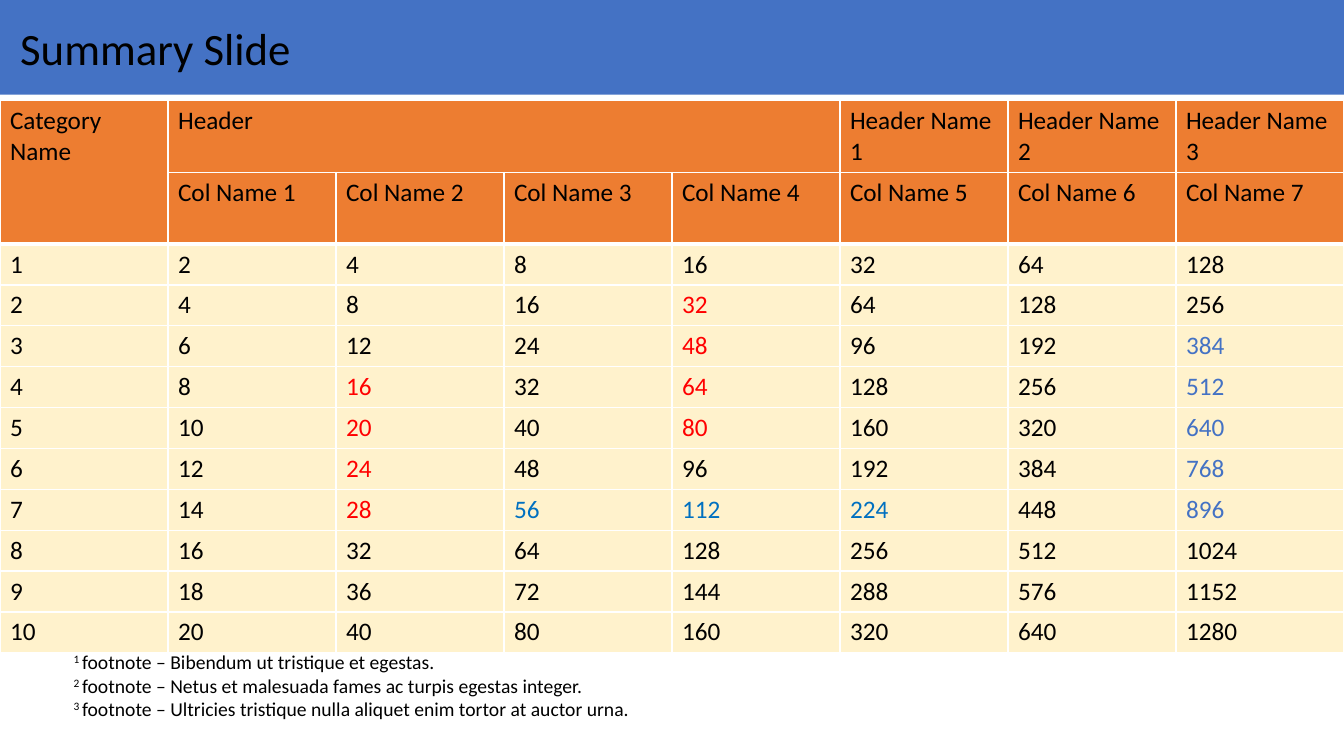
from dataclasses import dataclass

from lxml import etree
from pptx import Presentation, util as u
from pptx.dml.color import RGBColor
from pptx.enum import text
from pptx.oxml.ns import qn


@dataclass(frozen=True)
class Theme:
    font: str = "Calibri"
    ink: str = "000000"
    line: str = "FFFFFF"
    bar: str = "4472C4"
    head: str = "ED7D31"
    body: str = "FFF2CC"
    red: str = "FF0000"
    sky: str = "0070C0"
    blue: str = "4472C4"
    title: int = 32
    cell: int = 18
    note: int = 14
    thin: int = 1
    thick: int = 3


class Page:
    """One slide on a grid of 8 columns and 75 rows."""

    def __init__(self, deck, theme):
        self.theme = theme
        self.slide = deck.slides.add_slide(deck.slide_layouts[5])
        self.col = deck.slide_width / 8
        self.row = deck.slide_height / 75

    def box(self, x, y, w, h):
        return (round(x * self.col), round(y * self.row),
                round(w * self.col), round(h * self.row))

    def style(self, run, size, color):
        run.font.name = self.theme.font
        run.font.size = u.Pt(size)
        run.font.color.rgb = RGBColor.from_string(color)

    def title(self, words, *area):
        bar = self.slide.shapes.title
        bar.left, bar.top, bar.width, bar.height = self.box(*area)
        bar.fill.solid()
        bar.fill.fore_color.rgb = RGBColor.from_string(self.theme.bar)
        frame = bar.text_frame
        frame.text = words
        frame.auto_size = text.MSO_AUTO_SIZE.NONE
        frame.vertical_anchor = text.MSO_ANCHOR.MIDDLE
        frame.margin_left = frame.margin_right = u.Inches(0.2)
        frame.margin_top = frame.margin_bottom = u.Inches(0.2)
        para = frame.paragraphs[0]
        para.alignment = text.PP_ALIGN.LEFT
        self.style(para.runs[0], self.theme.title, self.theme.ink)

    def notes(self, lines, *area):
        frame = self.slide.shapes.add_textbox(*self.box(*area)).text_frame
        frame.word_wrap = True
        for num, line in enumerate(lines, 1):
            para = frame.paragraphs[0] if num == 1 else frame.add_paragraph()
            para.text = f"{num} "
            para.add_run().text = line
            for run in para.runs:
                self.style(run, self.theme.note, self.theme.ink)
            para.runs[0].font._element.set("baseline", "30000")

    def table(self, rows, cols, x, y, heights):
        area = self.box(x, y, cols, sum(heights))
        grid = self.slide.shapes.add_table(rows, cols, *area).table
        grid.first_row = grid.horz_banding = False
        for col in grid.columns:
            col.width = round(self.col)
        for row, high in zip(grid.rows, heights):
            row.height = round(high * self.row)
        return grid

    def edge(self, cell, **widths):
        props = cell._tc.get_or_add_tcPr()
        for side in "LRTB":
            wide = u.Pt(widths.get(side, self.theme.thin))
            line = etree.SubElement(props, qn(f"a:ln{side}"), w=str(wide))
            fill = etree.SubElement(line, qn("a:solidFill"))
            etree.SubElement(fill, qn("a:srgbClr"), val=self.theme.line)

    def cell(self, cell, words, fill, color, **widths):
        self.edge(cell, **widths)
        cell.fill.solid()
        cell.fill.fore_color.rgb = RGBColor.from_string(fill)
        cell.text_frame.text = words
        for run in cell.text_frame.paragraphs[0].runs:
            self.style(run, self.theme.cell, color)


def tint(theme, row, col):
    """Colour of the number in a body row (1-10) and column (0-7)."""
    if (col == 4 and 2 <= row <= 5) or (col == 2 and 4 <= row <= 7):
        return theme.red
    if row == 7 and 3 <= col <= 5:
        return theme.sky
    if col == 7 and 3 <= row <= 7:
        return theme.blue
    return theme.ink


def main():
    deck = Presentation()
    deck.slide_width, deck.slide_height = u.Inches(13.33), u.Inches(7.5)
    theme = Theme()
    page = Page(deck, theme)

    # Title bar
    page.title("Summary Slide", 0, 0, 8, 9.4)

    # Table: two header rows, then ten rows of doubling numbers
    heads = [
        ["Category Name", "Header", "", "", ""]
        + [f"Header Name {n}" for n in range(1, 4)],
        [""] + [f"Col Name {n}" for n in range(1, 8)],
    ]
    grid = page.table(12, 8, 0, 10, [7] * 2 + [4] * 10)
    grid.cell(0, 0).merge(grid.cell(1, 0))
    grid.cell(0, 1).merge(grid.cell(0, 4))
    for r, names in enumerate(heads):
        for c, name in enumerate(names):
            low = theme.thick if r == 1 or c == 0 else theme.thin
            page.cell(grid.cell(r, c), name, theme.head, theme.ink, B=low)
    for r in range(1, 11):
        top = theme.thick if r == 1 else theme.thin
        for c in range(8):
            page.cell(grid.cell(r + 1, c), str(r * 2 ** c), theme.body,
                      tint(theme, r, c), T=top)

    # Footnotes
    page.notes([
        "footnote – Bibendum ut tristique et egestas.",
        "footnote – Netus et malesuada fames ac turpis egestas integer.",
        "footnote – Ultricies tristique nulla aliquet enim tortor at auctor urna.",
    ], 0.38, 64, 4.58, 10.4)

    deck.save("out.pptx")


if __name__ == "__main__":
    main()
